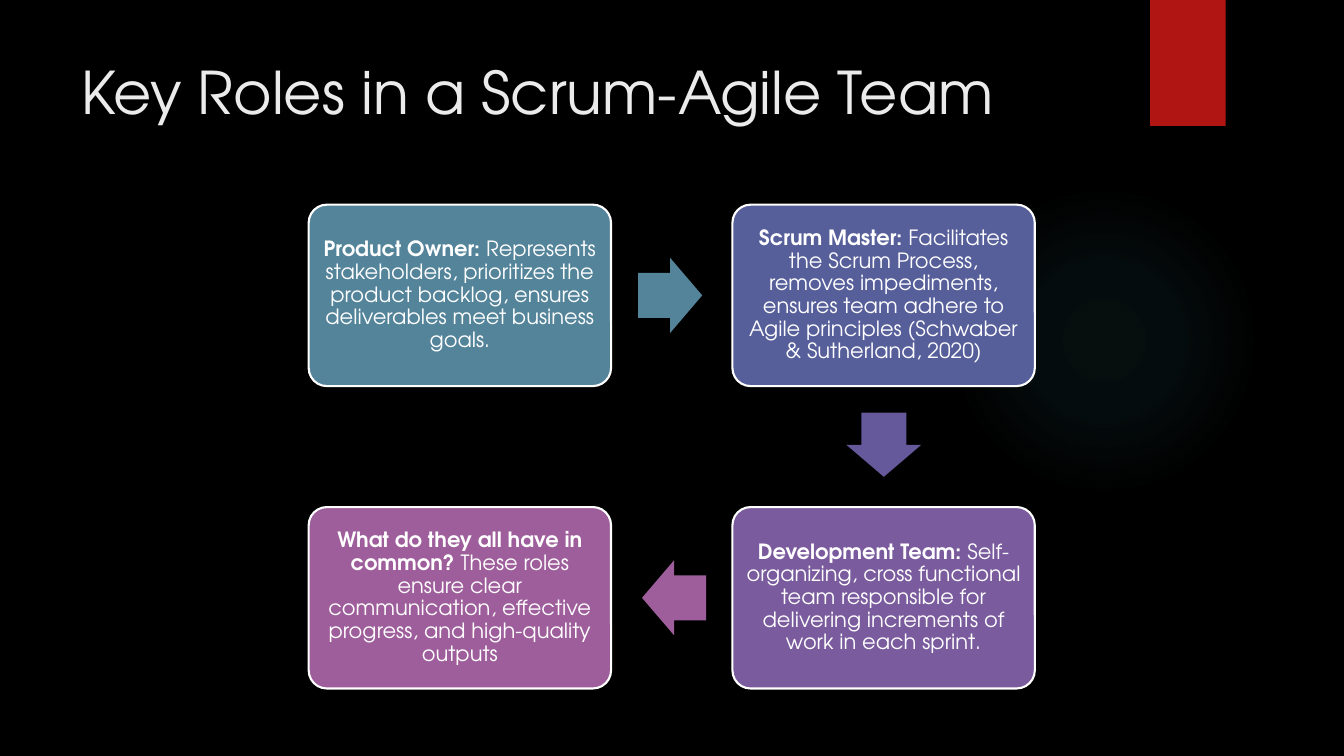
"""Build the slide on key roles in a Scrum-Agile team."""
from lxml.etree import fromstring
from pptx import Presentation
from pptx.dml.color import RGBColor as RGB
from pptx.enum.shapes import MSO_SHAPE as Kind
from pptx.enum.text import MSO_ANCHOR as Anchor, PP_ALIGN as Align
from pptx.util import Pt

FONT = "TeX Gyre Adventor"
HUES = {"back": "000000", "glow": "50B9C1", "tab": "B01513", "title": "EBEBEB",
        "text": "FFFFFF", "owner": "54849A", "master": "575F9B",
        "down": "65599C", "team": "7A5B9D", "common": "9E5E9B"}
A = "http://schemas.openxmlformats.org/drawingml/2006/main"

deck = Presentation()
deck.slide_width, deck.slide_height = Pt(960), Pt(540)
slide = deck.slides.add_slide(deck.slide_layouts[6])
slide.background.fill.solid()
slide.background.fill.fore_color.rgb = RGB.from_string(HUES["back"])


def draw(kind, x, y, w, h, hue):
    """Add a plain filled shape without line or shadow."""
    shape = slide.shapes.add_shape(kind, Pt(x), Pt(y), Pt(w), Pt(h))
    shape.shadow.inherit = False
    shape.fill.solid()
    shape.fill.fore_color.rgb = RGB.from_string(HUES[hue])
    shape.line.fill.background()
    return shape


def style(para, size, hue):
    """Set the font of a paragraph."""
    para.font.name, para.font.size = FONT, Pt(size)
    para.font.color.rgb = RGB.from_string(HUES[hue])


glow = draw(Kind.OVAL, 677.5, 131.8, 221.8, 221.8, "glow")
stops = "".join(
    f'<a:gs pos="{pos}000"><a:srgbClr val="{HUES["glow"]}">'
    f'<a:alpha val="{alpha}000"/></a:srgbClr></a:gs>'
    for pos, alpha in ((0, 7), (36, 6), (69, 0), (100, 0)))
grad = fromstring(
    f'<a:gradFill xmlns:a="{A}" rotWithShape="1"><a:gsLst>{stops}</a:gsLst>'
    '<a:path path="circle"><a:fillToRect l="50000" t="50000" r="50000" b="50000"/>'
    '</a:path></a:gradFill>')
solid = glow.element.spPr.find(f"{{{A}}}solidFill")
solid.getparent().replace(solid, grad)

draw(Kind.RECTANGLE, 821.5, 0, 54, 90, "tab")

title = slide.shapes.add_textbox(Pt(51), Pt(36), Pt(741), Pt(110)).text_frame
title.word_wrap = True
title.text = "Key Roles in a Scrum-Agile Team"
style(title.paragraphs[0], 42, "title")

LEFT, TOP, STEP, DROP = 220.5, 146.2, 302.7, 216
roles = [
    (0, 0, "owner", "Product Owner: ",
     "Represents stakeholders, prioritizes the product backlog, ensures "
     "deliverables meet business goals."),
    (1, 0, "master", "Scrum Master: ",
     "Facilitates the Scrum Process, removes impediments, ensures team adhere "
     "to Agile principles (Schwaber & Sutherland, 2020)"),
    (1, 1, "team", "Development Team: ",
     "Self-organizing, cross functional team responsible for delivering "
     "increments of work in each sprint."),
    (0, 1, "common", "What do they all have in common? ",
     "These roles ensure clear communication, effective progress, and "
     "high-quality outputs"),
]
for col, row, hue, name, duty in roles:
    box = draw(Kind.ROUNDED_RECTANGLE, LEFT + col * STEP, TOP + row * DROP,
               216, 129.6, hue)
    box.adjustments[0] = 0.1
    box.line.color.rgb = RGB.from_string(HUES["text"])
    box.line.width = Pt(1.5)
    frame = box.text_frame
    frame.word_wrap = True
    frame.vertical_anchor = Anchor.MIDDLE
    frame.margin_left = frame.margin_right = Pt(4.5)
    frame.margin_top = frame.margin_bottom = Pt(4.5)
    para = frame.paragraphs[0]
    para.alignment, para.line_spacing, para.space_after = Align.CENTER, 0.9, Pt(5)
    style(para, 15, "text")
    for words, bold in ((name, True), (duty, False)):
        run = para.add_run()
        run.text, run.font.bold = words, bold

for x, y, turn, hue in ((455.8, 184.2, 0, "owner"), (608.4, 290.9, 90, "down"),
                        (458.6, 400.2, 180, "common")):
    arrow = draw(Kind.RIGHT_ARROW, x, y, 45.8, 53.6, hue)
    arrow.adjustments[0], arrow.adjustments[1] = 0.6, 0.5
    arrow.rotation = turn

deck.save("out.pptx")
